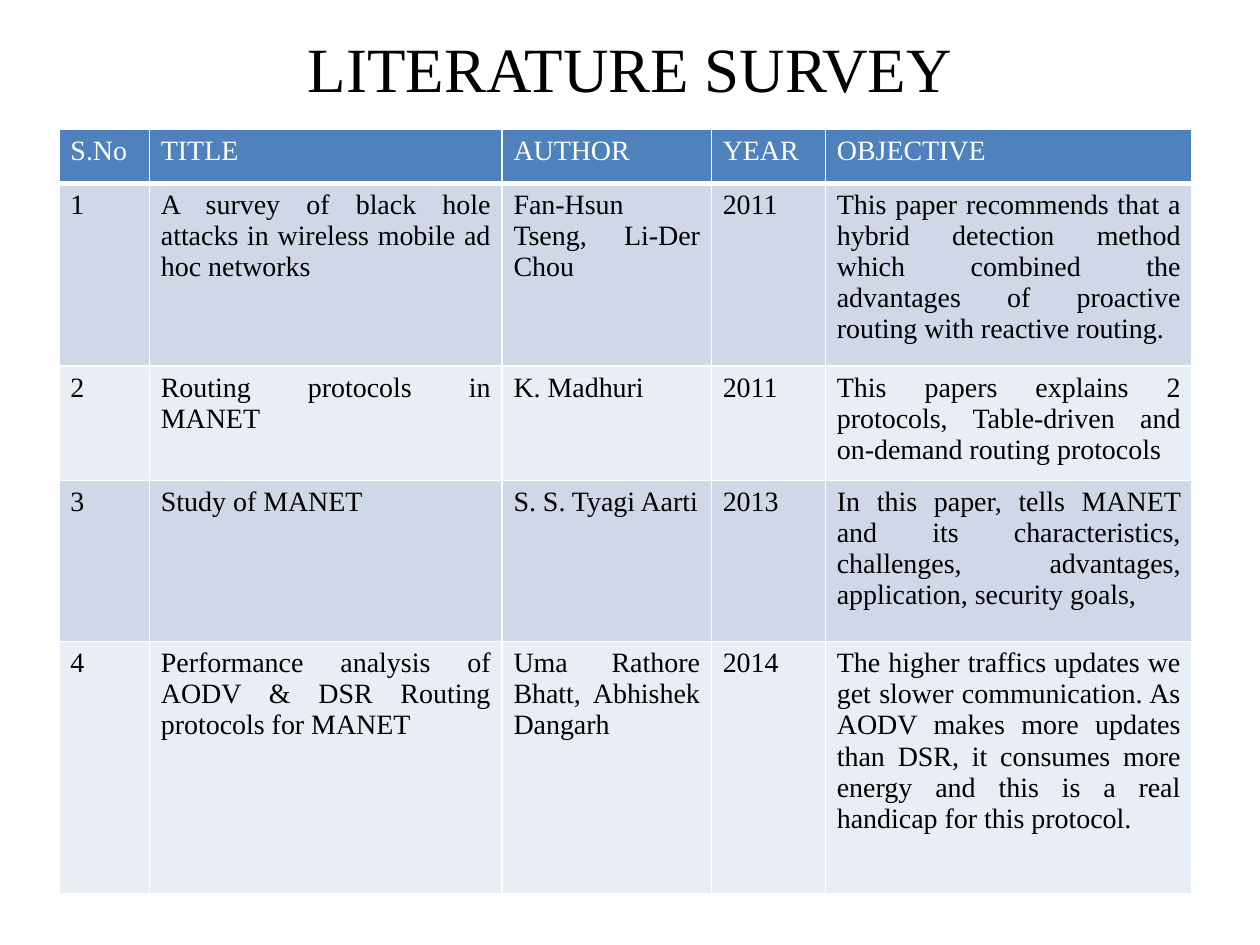
from lxml import etree
from pptx import Presentation
from pptx.dml.color import RGBColor
from pptx.enum.text import MSO_ANCHOR, PP_ALIGN
from pptx.oxml.ns import qn
from pptx.util import Pt

CENTER, JUSTIFY = PP_ALIGN.CENTER, PP_ALIGN.JUSTIFY
MIDDLE = MSO_ANCHOR.MIDDLE
TITLE_ONLY = 5
FONT = "Times New Roman"
COLORS = {
    "text": "000000",
    "white": "FFFFFF",
    "header": "4F81BD",
    "odd": "D0D8E8",
    "even": "E9EDF4",
}
COL_WIDTHS = [51.7, 201.5, 119.6, 65.2, 209.5]
ROW_HEIGHTS = [30.8, 104.5, 65.3, 92.1, 143.8]
ROWS = [
    ("S.No", "TITLE", "AUTHOR", "YEAR", "OBJECTIVE"),
    ("1", "A survey of black hole attacks in wireless mobile ad hoc networks",
     "Fan-Hsun Tseng, Li-Der Chou", "2011",
     "This paper recommends that a hybrid detection method which combined the "
     "advantages of proactive routing with reactive routing."),
    ("2", "Routing protocols in MANET", "K. Madhuri", "2011",
     "This papers explains 2 protocols, Table-driven and on-demand routing "
     "protocols"),
    ("3", "Study of MANET", "S. S. Tyagi Aarti", "2013",
     "In this paper, tells MANET and its characteristics, challenges, "
     "advantages, application, security goals, "),
    ("4", "Performance analysis of AODV & DSR Routing protocols for MANET",
     "Uma Rathore Bhatt, Abhishek Dangarh", "2014",
     "The higher traffics updates we get slower communication. As AODV makes "
     "more updates than DSR, it consumes more energy and this is a real "
     "handicap for this protocol."),
]


def rgb(name):
    return RGBColor.from_string(COLORS[name])


def write(tf, text, size, color, align):
    tf.word_wrap = True
    p = tf.paragraphs[0]
    p.text = text
    p.alignment = align
    font = p.runs[0].font
    font.name, font.size, font.bold = FONT, Pt(size), False
    font.color.rgb = rgb(color)


def add_title(s, text):
    title = s.shapes.title
    title.left, title.top, title.width, title.height = Pt(36), Pt(8.6), Pt(648), Pt(60)
    title.text_frame.vertical_anchor = MIDDLE
    write(title.text_frame, text, 36, "text", CENTER)


def set_borders(cell, bottom):
    """Draw white cell borders, 1 pt wide except for the bottom one."""
    tcPr = cell._tc.get_or_add_tcPr()
    widths = {"a:lnL": 1, "a:lnR": 1, "a:lnT": 1, "a:lnB": bottom}
    for i, (tag, width) in enumerate(widths.items()):
        ln = etree.Element(qn(tag), w=str(Pt(width)))
        fill = etree.SubElement(ln, qn("a:solidFill"))
        etree.SubElement(fill, qn("a:srgbClr"), val=COLORS["white"])
        tcPr.insert(i, ln)


def format_cell(cell, text, row):
    header = row == 0
    cell.margin_left = cell.margin_right = Pt(6.5)
    cell.margin_top = cell.margin_bottom = Pt(3.5)
    write(cell.text_frame, text, 16, "white" if header else "text", JUSTIFY)
    cell.fill.solid()
    cell.fill.fore_color.rgb = rgb("header" if header else "odd" if row % 2 else "even")
    set_borders(cell, 3 if header else 1)


def add_survey_table(s):
    frame = s.shapes.add_table(len(ROWS), len(COL_WIDTHS), Pt(33.8), Pt(74),
                               Pt(sum(COL_WIDTHS)), Pt(sum(ROW_HEIGHTS)))
    table = frame.table
    for column, width in zip(table.columns, COL_WIDTHS):
        column.width = Pt(width)
    for i, texts in enumerate(ROWS):
        table.rows[i].height = Pt(ROW_HEIGHTS[i])
        for j, text in enumerate(texts):
            format_cell(table.cell(i, j), text, i)


def main():
    prs = Presentation()
    prs.slide_width, prs.slide_height = Pt(720), Pt(540)
    s = prs.slides.add_slide(prs.slide_layouts[TITLE_ONLY])
    add_title(s, "LITERATURE SURVEY")
    add_survey_table(s)
    prs.save("out.pptx")


if __name__ == "__main__":
    main()
